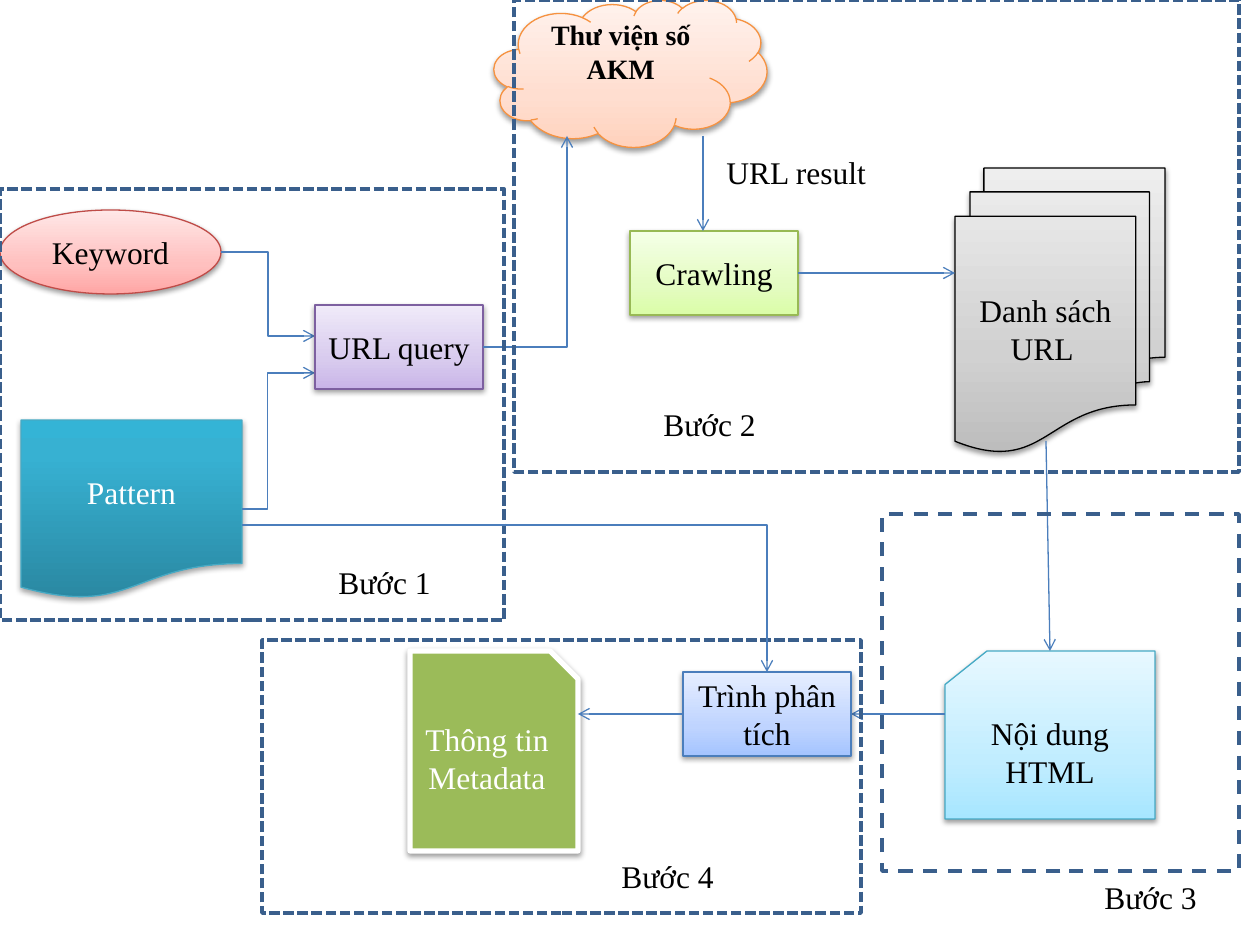
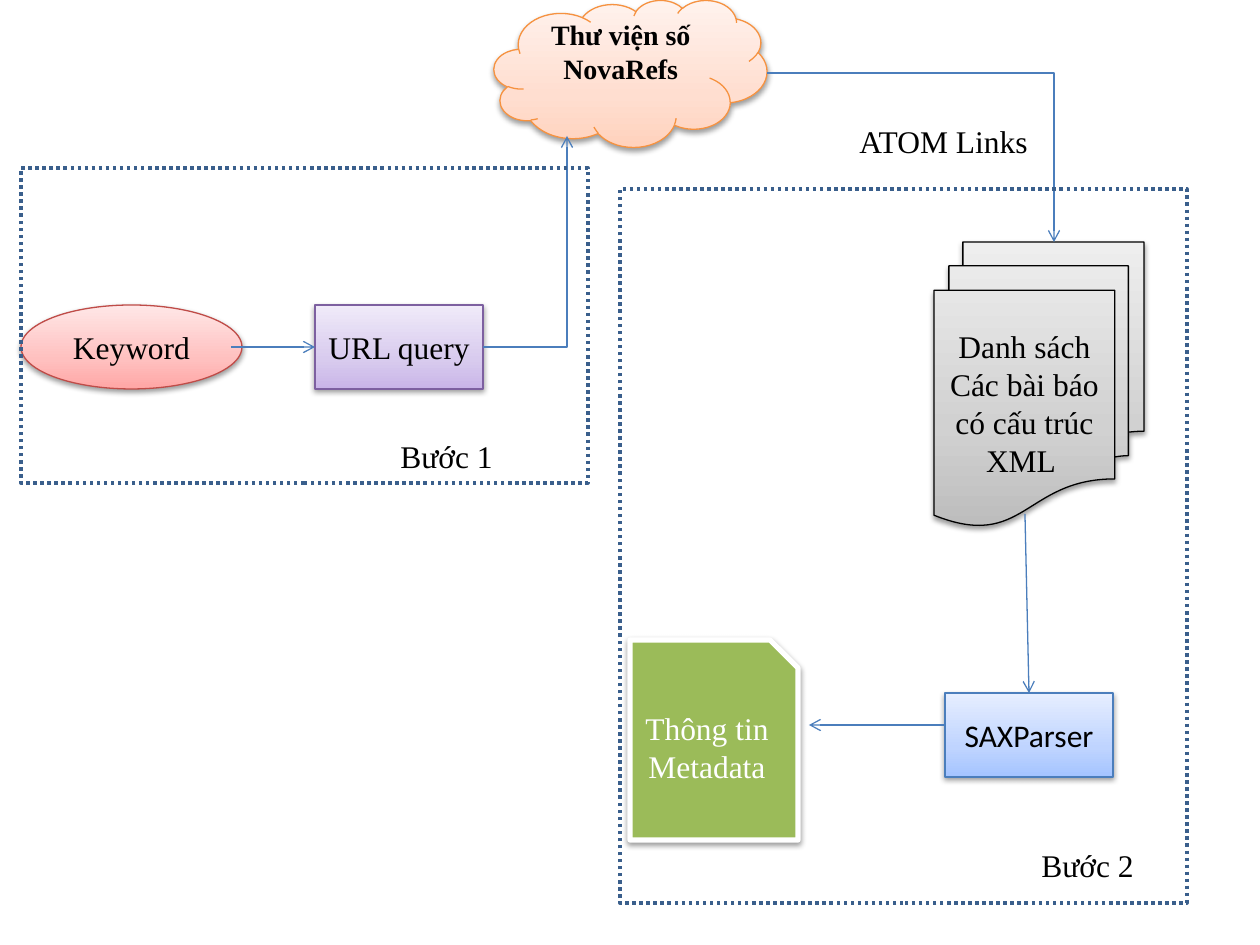
"""Build two flow diagrams of collecting paper metadata from digital libraries."""
import copy
from collections import namedtuple

from lxml import etree
from pptx import Presentation, util as u
from pptx.dml.color import RGBColor
from pptx.enum import dml, shapes, text
from pptx.oxml.ns import qn

SCALE = 914400 / 126
SERIF, SANS = "Times New Roman", "Calibri"
BLACK = RGBColor(0, 0, 0)
WHITE = RGBColor(255, 255, 255)
GREEN = RGBColor(0x9B, 0xBB, 0x59)
BLUE = RGBColor(0x4B, 0x7E, 0xBC)
NAVY = RGBColor(0x3A, 0x5F, 0x8C)
KIND = shapes.MSO_SHAPE
DASH = dml.MSO_LINE

Look = namedtuple("Look", "kind fills line ink")


def colours(*codes):
    return [RGBColor.from_string(code) for code in codes]


KEYWORD = Look(KIND.OVAL, colours("FFA6A5", "FFC0BF", "FFE7E7"),
               RGBColor(0xBF, 0x4C, 0x48), BLACK)
PATTERN = Look(KIND.FLOWCHART_DOCUMENT, colours("2A88A2", "37B1D2", "34B4D6"),
               RGBColor(0x46, 0xAA, 0xC5), WHITE)
QUERY = Look(KIND.FLOWCHART_PROCESS, colours("C9B5E8", "D8CBEE", "F0EAF9"),
             RGBColor(0x7D, 0x60, 0xA0), BLACK)
LIBRARY = Look(KIND.CLOUD, colours("FFD2BD", "FFDED0", "FFF2ED"),
               RGBColor(0xF6, 0x92, 0x40), BLACK)
LISTING = Look(KIND.FLOWCHART_MULTIDOCUMENT, colours("BDBDBD", "D1D1D1", "EEEEEE"),
               BLACK, BLACK)
CRAWLER = Look(KIND.FLOWCHART_PROCESS, colours("DAFDA7", "E4FCC2", "F5FFE7"),
               RGBColor(0x98, 0xB9, 0x55), BLACK)
CONTENT = Look(KIND.FLOWCHART_CARD, colours("A7E6FF", "C1EDFF", "E7F8FF"),
               RGBColor(0x46, 0xAA, 0xC5), BLACK)
PARSER = Look(KIND.FLOWCHART_PROCESS, colours("A4C4FF", "BFD4FF", "E6EEFF"),
              BLUE, BLACK)
METADATA = Look(KIND.SNIP_1_RECTANGLE, [GREEN], WHITE, WHITE)


def px(value):
    return u.Emu(round(value * SCALE))


def write(frame, words, ink=BLACK, size=18, font=SERIF, bold=False):
    frame.text = words
    for span in frame.paragraphs[0].runs:
        span.font.name = font
        span.font.size = u.Pt(size)
        span.font.bold = bold
        span.font.color.rgb = ink


def paint(shape, fills, middle):
    if len(fills) == 1:
        shape.fill.solid()
        shape.fill.fore_color.rgb = fills[0]
        return
    shape.fill.gradient()
    shape.fill.gradient_angle = 90
    stops = shape.element.spPr.find(qn("a:gradFill")).find(qn("a:gsLst"))
    stops.insert(1, copy.deepcopy(stops[0]))
    for stop, colour, place in zip(shape.fill.gradient_stops, fills, (0, middle, 1)):
        stop.color.rgb = colour
        stop.position = place


def cast_shadow(shape, alpha, distance):
    shape.shadow.inherit = False
    effects = shape.element.spPr.find(qn("a:effectLst"))
    shadow = etree.SubElement(effects, qn("a:outerShdw"), blurRad="40000",
                              dist=str(distance), dir="5400000", rotWithShape="0")
    colour = etree.SubElement(shadow, qn("a:srgbClr"), val="000000")
    etree.SubElement(colour, qn("a:alpha"), val=str(alpha * 1000))


def node(page, look, words, x, y, width, height, **style):
    shape = page.shapes.add_shape(look.kind, *map(px, (x, y, width, height)))
    dark = look is PATTERN
    paint(shape, look.fills, 0.8 if dark else 0.35)
    shape.line.color.rgb = look.line
    shape.line.width = u.Pt(3 if look is METADATA else 0.75)
    cast_shadow(shape, *((35, 23000) if dark else (38, 20000)))
    frame = shape.text_frame
    frame.word_wrap = True
    frame.vertical_anchor = text.MSO_ANCHOR.MIDDLE
    write(frame, words, look.ink, **style)
    frame.paragraphs[0].alignment = text.PP_ALIGN.CENTER
    return shape


def process(page, look, words, x, y, **style):
    node(page, look, words, x, y, 168, 84, **style)


def library(page, words):
    cloud = node(page, LIBRARY, words, 494, 0, 273, 147, size=16, bold=True)
    cloud.text_frame.margin_bottom = px(44)


def label(page, words, x, y, width=118):
    box = page.shapes.add_textbox(*map(px, (x, y, width, 50)))
    box.text_frame.word_wrap = False
    box.text_frame.auto_size = text.MSO_AUTO_SIZE.SHAPE_TO_FIT_TEXT
    write(box.text_frame, words)


def frame_step(page, x, y, width, height, dash):
    border = page.shapes.add_shape(KIND.RECTANGLE, *map(px, (x, y, width, height)))
    border.fill.background()
    border.line.color.rgb = NAVY
    border.line.width = u.Pt(2)
    border.line.dash_style = dash
    border.shadow.inherit = False


def arrow(page, x1, y1, x2, y2, kind=shapes.MSO_CONNECTOR.STRAIGHT):
    link = page.shapes.add_connector(kind, *map(px, (x1, y1, x2, y2)))
    link.line.color.rgb = BLUE
    link.line.width = u.Pt(0.75)
    etree.SubElement(link.line._get_or_add_ln(), qn("a:tailEnd"), type="arrow")
    etree.SubElement(link.element.spPr, qn("a:effectLst"))
    return link.element.spPr.find(qn("a:prstGeom"))


def corner_arrow(page, *ends):
    arrow(page, *ends, shapes.MSO_CONNECTOR.ELBOW).set("prst", "bentConnector2")


def step_arrow(page, *ends, bend):
    geometry = arrow(page, *ends, shapes.MSO_CONNECTOR.ELBOW)
    guides = geometry.find(qn("a:avLst"))
    etree.SubElement(guides, qn("a:gd"), name="adj1", fmla=f"val {round(bend * 100000)}")


def crawling_page(page):
    node(page, KEYWORD, "Keyword", 0, 210, 221, 84)
    node(page, PATTERN, "Pattern", 21, 420, 221, 179)
    step_arrow(page, 221, 252, 315, 336, bend=0.5)
    step_arrow(page, 242, 509, 315, 373, bend=0.355)
    process(page, QUERY, "URL query", 315, 305)
    library(page, "Thư viện số AKM")
    corner_arrow(page, 483, 347, 567, 136)
    node(page, LISTING, "Danh sách URL ", 955, 168, 210, 284)
    process(page, CRAWLER, "Crawling", 630, 231)
    node(page, CONTENT, "Nội dung HTML", 945, 651, 210, 168)
    arrow(page, 703, 136, 703, 231)
    arrow(page, 798, 273, 955, 273)
    arrow(page, 1046, 441, 1050, 651)
    label(page, "URL result", 714, 147, 166)
    arrow(page, 945, 714, 851, 714)
    node(page, METADATA, "Thông tin Metadata", 410, 651, 168, 200)
    process(page, PARSER, "Trình phân tích", 683, 672)
    arrow(page, 683, 714, 578, 714)
    frame_step(page, 0, 189, 504, 431, DASH.SQUARE_DOT)
    frame_step(page, 514, 0, 725, 472, DASH.SQUARE_DOT)
    frame_step(page, 882, 514, 357, 357, DASH.DASH)
    frame_step(page, 262, 640, 599, 273, DASH.SQUARE_DOT)
    places = [(326, 557), (651, 399), (1092, 872), (609, 851)]
    for number, place in enumerate(places, 1):
        label(page, f"Bước {number}", *place)
    corner_arrow(page, 242, 525, 767, 672)


def parsing_page(page):
    node(page, KEYWORD, "Keyword", 21, 305, 221, 84)
    process(page, QUERY, "URL query", 315, 305)
    library(page, "Thư viện số NovaRefs")
    corner_arrow(page, 483, 347, 567, 136)
    node(page, LISTING, "Danh sách Các bài báo có cấu trúc XML ", 934, 242, 210, 284)
    arrow(page, 1025, 514, 1029, 693)
    label(page, "ATOM Links", 847, 116, 194)
    node(page, METADATA, "Thông tin Metadata", 630, 640, 168, 200)
    process(page, PARSER, "SAXParser", 945, 693, font=SANS)
    arrow(page, 945, 725, 809, 725)
    arrow(page, 231, 347, 315, 347)
    frame_step(page, 21, 168, 567, 315, DASH.ROUND_DOT)
    corner_arrow(page, 767, 73, 1054, 242)
    frame_step(page, 620, 189, 567, 714, DASH.ROUND_DOT)
    for number, place in enumerate([(388, 431), (1029, 840)], 1):
        label(page, f"Bước {number}", *place)


def main():
    deck = Presentation()
    deck.slide_width, deck.slide_height = px(1260), px(945)
    for build in (crawling_page, parsing_page):
        build(deck.slides.add_slide(deck.slide_layouts[6]))
    deck.save("out.pptx")


main()
